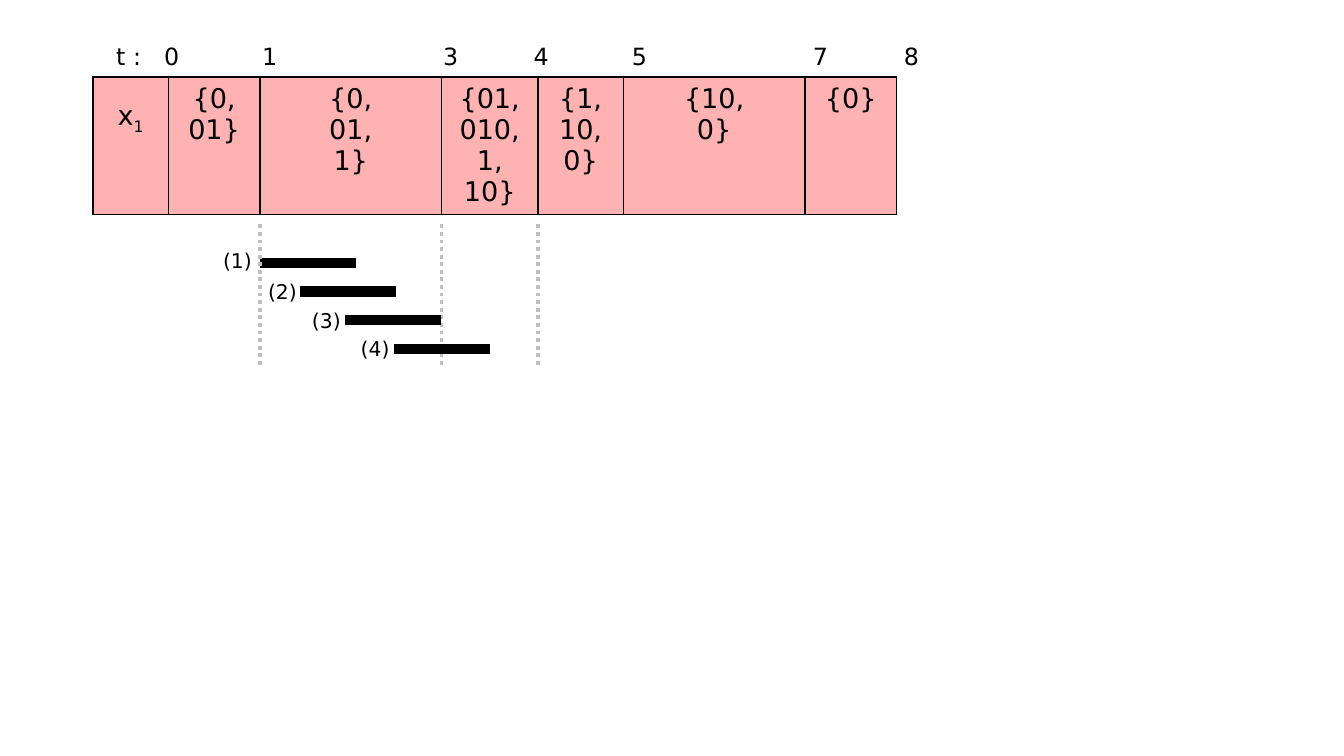
from itertools import accumulate
from pptx import Presentation
from pptx.enum import dml, shapes, text
from pptx.dml.color import RGBColor
from pptx.oxml import ns, xmlchemy
from pptx.util import Pt
from lxml import etree

HUES = {"ink": "000000", "pink": "FFB2B2", "dots": "BFBFBF"}
FONT = "DejaVu Sans"
SETS = [["{0,", "01}"], ["{0,", "01,", "1}"], ["{01,", "010,", "1,", "10}"],
        ["{1,", "10,", "0}"], ["{10,", "0}"], ["{0}"]]
COLS = [44.6, 54, 107.3, 56.9, 50.4, 107.3, 54]
TICKS = [("t :", 29.3), ("0", 54.7), ("1", 112.5), ("3", 219.4),
         ("4", 272.8), ("5", 330.9), ("7", 437.7), ("8", 491.4)]
BARS = [("(1)", 124.6, 143.3, 153.4), ("(2)", 151.2, 161.3, 177.1),
        ("(3)", 177.1, 178.6, 203.8), ("(4)", 205.9, 195.1, 232.6)]
LEFT, TOP, HIGH = 54.8, 45.4, 81
BAR_TOP, STEP, BAR_LEN = 155.2, 16.9, 56.6

deck = Presentation()
deck.slide_width, deck.slide_height = Pt(793.44), Pt(446.4)
slide = deck.slides.add_slide(deck.slide_layouts[6])


def hue(name):
    return RGBColor.from_string(HUES[name])


def add_run(para, words, size):
    run = para.add_run()
    run.text = words
    run.font.name, run.font.size = FONT, Pt(size)
    run.font.color.rgb = hue("ink")
    return run


def add_line(x1, y1, x2, y2, name, width, dash=None):
    line = slide.shapes.add_connector(
        shapes.MSO_CONNECTOR.STRAIGHT, Pt(x1), Pt(y1), Pt(x2), Pt(y2))
    line.line.color.rgb, line.line.width = hue(name), Pt(width)
    if dash:
        line.line.dash_style = dash
    etree.SubElement(line._element.spPr, ns.qn("a:effectLst"))


def add_guide(x):
    add_line(x, 132.5, x, 217.4, "dots", 2.25, dml.MSO_LINE.ROUND_DOT)


def add_text(x, y, w, words, size):
    box = slide.shapes.add_textbox(Pt(x), Pt(y), Pt(w), Pt(18))
    box.text_frame.word_wrap = True
    para = box.text_frame.paragraphs[0]
    add_run(para, words, size)
    return para


def add_edges(cell):
    props = cell._tc.get_or_add_tcPr()
    for spot, side in enumerate(("lnL", "lnR", "lnT", "lnB")):
        edge = etree.Element(ns.qn("a:" + side), w=str(Pt(1)))
        fill = etree.SubElement(edge, ns.qn("a:solidFill"))
        etree.SubElement(fill, ns.qn("a:srgbClr"), val=HUES["ink"])
        props.insert(spot, edge)


def add_grid():
    frame = slide.shapes.add_table(
        1, len(COLS), Pt(LEFT), Pt(TOP), Pt(sum(COLS)), Pt(HIGH))
    grid = frame.table
    grid.first_row = grid.horz_banding = False
    for col, width in zip(grid.columns, COLS):
        col.width = Pt(width)
    for cell, lines in zip(grid.rows[0].cells, [["x"]] + SETS):
        cell.fill.solid()
        cell.fill.fore_color.rgb = hue("pink")
        add_edges(cell)
        body = cell.text_frame
        for spot, words in enumerate(lines):
            para = body.add_paragraph() if spot else body.paragraphs[0]
            para.alignment = text.PP_ALIGN.CENTER
            add_run(para, words, 16)
    head = grid.cell(0, 0)
    head.margin_top = Pt(14.1)
    sub = add_run(head.text_frame.paragraphs[0], "1", 16)
    sub.font._element.set("baseline", "-25000")


def add_ticks():
    para = add_text(39.6, 20.9, 513.4, "".join("\t" + t for t, x in TICKS), 14)
    tabs = etree.SubElement(para._p.get_or_add_pPr(), ns.qn("a:tabLst"))
    for word, x in TICKS:
        etree.SubElement(tabs, ns.qn("a:tab"), pos=str(Pt(x)), algn="ctr")


edges = list(accumulate(COLS, initial=LEFT))
add_guide(edges[3])
add_grid()
add_ticks()
for row, (name, x, y, start) in enumerate(BARS):
    level = BAR_TOP + row * STEP
    add_line(start, level, start + BAR_LEN, level, "ink", 6)
    add_text(x, y, 36, name, 12)
for spot in (4, 2):
    add_guide(edges[spot])

deck.save("out.pptx")
